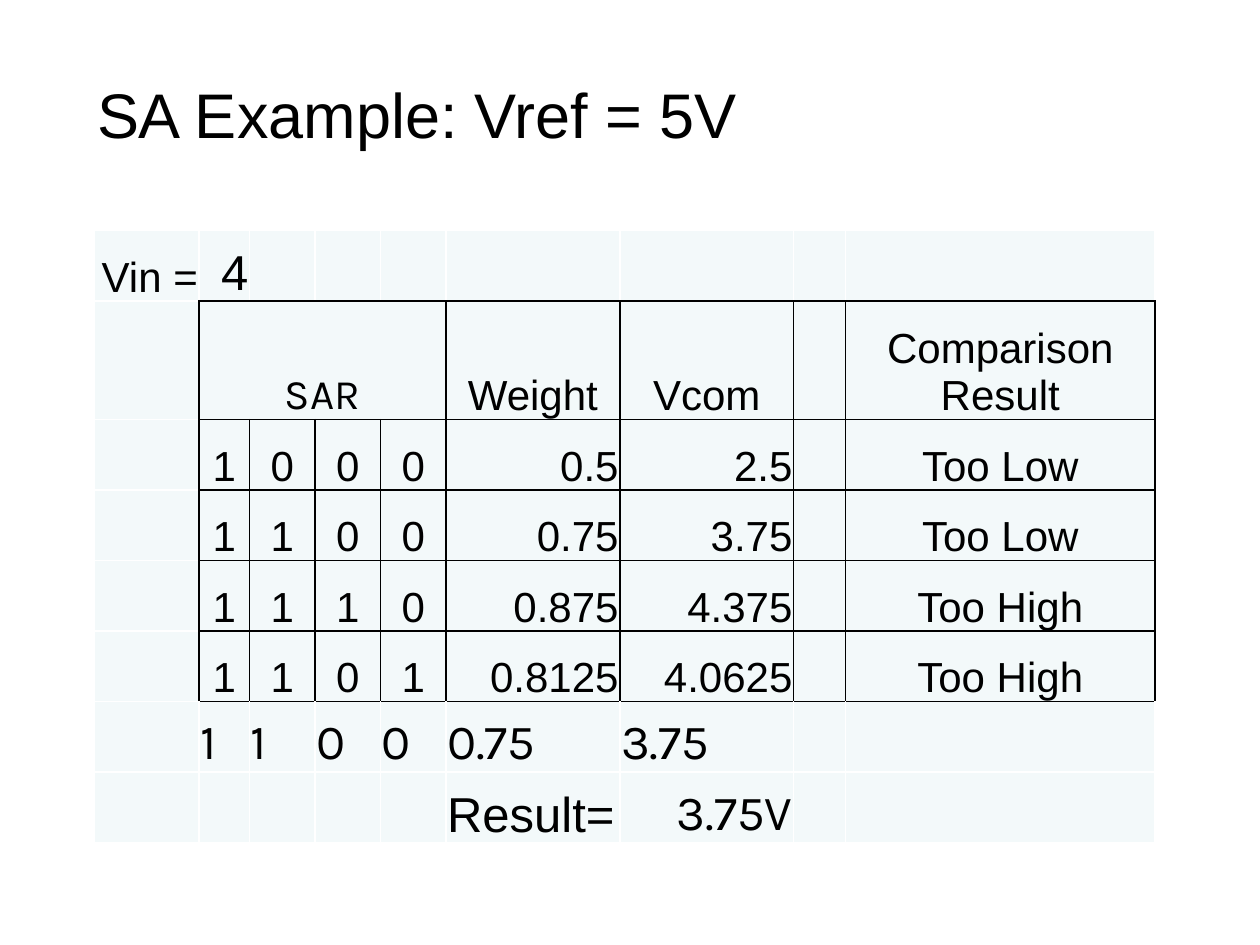
from dataclasses import dataclass

from lxml import etree
from pptx import Presentation
from pptx.dml.color import RGBColor
from pptx.enum.text import MSO_ANCHOR, PP_ALIGN
from pptx.oxml.ns import qn
from pptx.util import Inches, Pt

LEFT, CENTER, RIGHT = PP_ALIGN.LEFT, PP_ALIGN.CENTER, PP_ALIGN.RIGHT
TOP, BOTTOM = MSO_ANCHOR.TOP, MSO_ANCHOR.BOTTOM

BLACK, WHITE, TINT = "000000", "FFFFFF", "F3F9FA"
SANS, KARLA = "Arial", "Karla"

COLUMN_WIDTHS = [0.83, 0.4, 0.52, 0.52, 0.52, 1.38, 1.38, 0.41, 2.46]
ROW_HEIGHTS = [0.56, 0.94] + [0.56] * 6
FRAMED_ROWS, FRAMED_COLUMNS = range(1, 6), range(1, 9)
WEIGHT, VCOM, COMPARISON = 5, 6, 8

# SAR bits, weight, comparator voltage and comparison result of each step
STEPS = [
    ("1000", "0.5", "2.5", "Too Low"),
    ("1100", "0.75", "3.75", "Too Low"),
    ("1110", "0.875", "4.375", "Too High"),
    ("1101", "0.8125", "4.0625", "Too High"),
]
FINAL_VALUES = ["1", "1", "0", "0", "0.75", "3.75"]


@dataclass
class Entry:
    row: int
    column: int
    text: str
    align: PP_ALIGN = CENTER
    size: int = 24
    font: str = SANS


def color(value: str) -> RGBColor:
    return RGBColor.from_string(value)


def write(para, text: str, size: int, font: str, align: PP_ALIGN) -> None:
    para.alignment = align
    span = para.add_run()
    span.text = text
    span.font.size = Pt(size)
    span.font.name = font
    span.font.color.rgb = color(BLACK)


def is_framed(row: int, column: int) -> bool:
    return row in FRAMED_ROWS and column in FRAMED_COLUMNS


def draw_border(cell, side: str, value: str) -> None:
    properties = cell._tc.get_or_add_tcPr()
    line = etree.SubElement(properties, qn(f"a:ln{side}"), w=str(Pt(1)))
    fill = etree.SubElement(line, qn("a:solidFill"))
    etree.SubElement(fill, qn("a:srgbClr"), val=value)


def format_cell(cell, row: int, column: int) -> None:
    """An edge is black when the cell on either side of it is framed."""
    neighbors = {"L": (row, column - 1), "R": (row, column + 1),
                 "T": (row - 1, column), "B": (row + 1, column)}
    for side, neighbor in neighbors.items():
        framed = is_framed(row, column) or is_framed(*neighbor)
        draw_border(cell, side, BLACK if framed else WHITE)
    cell.fill.solid()
    cell.fill.fore_color.rgb = color(TINT)
    cell.vertical_anchor = BOTTOM
    cell.margin_left = cell.margin_right = cell.margin_top = Inches(0.01)
    cell.margin_bottom = 0


def table_entries() -> list[Entry]:
    entries = [
        Entry(0, 0, "Vin =", RIGHT),
        Entry(0, 1, "4", RIGHT, 28),
        Entry(1, 1, "SAR", font=KARLA),
        Entry(1, WEIGHT, "Weight"),
        Entry(1, VCOM, "Vcom"),
        Entry(1, COMPARISON, "Comparison Result"),
    ]
    for row, (bits, weight, voltage, result) in enumerate(STEPS, start=2):
        entries += [Entry(row, column, bit) for column, bit in enumerate(bits, start=1)]
        entries += [Entry(row, WEIGHT, weight, RIGHT),
                    Entry(row, VCOM, voltage, RIGHT),
                    Entry(row, COMPARISON, result)]
    entries += [Entry(6, column, value, LEFT, 28, KARLA)
                for column, value in enumerate(FINAL_VALUES, start=1)]
    entries += [Entry(7, WEIGHT, "Result=", LEFT, 28),
                Entry(7, VCOM, "3.75V", RIGHT, 28, KARLA)]
    return entries


def add_conversion_table(page) -> None:
    frame = page.shapes.add_table(
        len(ROW_HEIGHTS), len(COLUMN_WIDTHS), Inches(0.75), Inches(1.83),
        Inches(sum(COLUMN_WIDTHS)), Inches(sum(ROW_HEIGHTS)))
    table = frame.table
    table.first_row = table.horz_banding = False
    for column, width in zip(table.columns, COLUMN_WIDTHS):
        column.width = Inches(width)
    for row, height in zip(table.rows, ROW_HEIGHTS):
        row.height = Inches(height)

    for row in range(len(ROW_HEIGHTS)):
        for column in range(len(COLUMN_WIDTHS)):
            format_cell(table.cell(row, column), row, column)
    table.cell(1, 1).merge(table.cell(1, 4))  # SAR heading over its four bits

    for entry in table_entries():
        para = table.cell(entry.row, entry.column).text_frame.paragraphs[0]
        write(para, entry.text, entry.size, entry.font, entry.align)


def add_title(page) -> None:
    title = page.shapes.title
    title.left, title.top = Inches(0.67), Inches(0.55)
    title.width, title.height = Inches(5.33), Inches(0.71)
    box = title.text_frame
    box.word_wrap = False
    box.vertical_anchor = TOP
    write(box.paragraphs[0], "SA Example: Vref = 5V", 36, SANS, LEFT)


def main() -> None:
    deck = Presentation()
    deck.slide_width, deck.slide_height = Inches(10), Inches(7.5)
    page = deck.slides.add_slide(deck.slide_layouts.get_by_name("Title Only"))
    add_conversion_table(page)
    add_title(page)
    deck.save("out.pptx")


if __name__ == "__main__":
    main()
